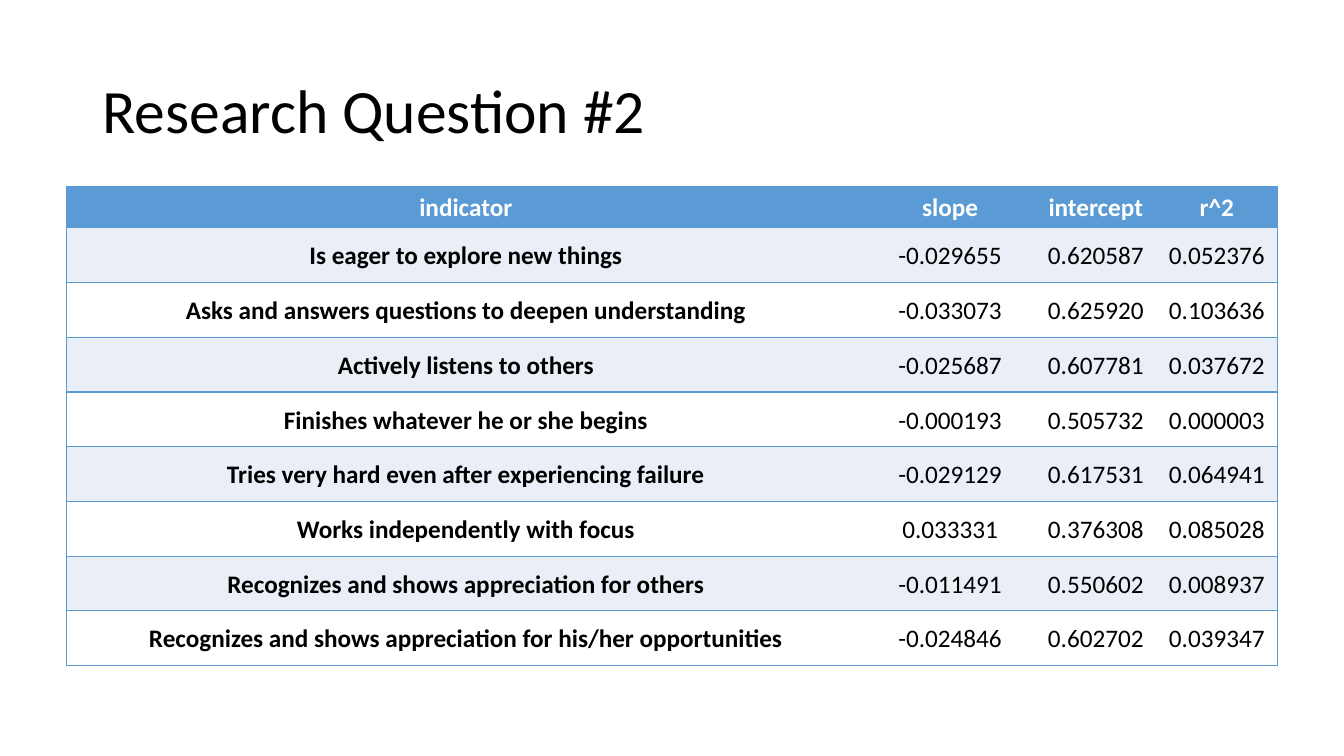
from lxml import etree
from pptx import Presentation
from pptx.dml.color import RGBColor
from pptx.enum.text import MSO_ANCHOR, PP_ALIGN
from pptx.oxml.ns import qn
from pptx.util import Cm, Pt

MIDDLE = MSO_ANCHOR.MIDDLE
CENTER = PP_ALIGN.CENTER
BLACK = RGBColor(0x00, 0x00, 0x00)
WHITE = RGBColor(0xFF, 0xFF, 0xFF)
BLUE = RGBColor(0x5B, 0x9B, 0xD5)
PALE_BLUE = RGBColor(0xEA, 0xEF, 0xF7)
FONT = "Calibri"

HEADER = ("indicator", "slope", "intercept", "r^2")
INDICATORS = [
    ("Is eager to explore new things", "-0.029655", "0.620587", "0.052376"),
    ("Asks and answers questions to deepen understanding", "-0.033073", "0.625920", "0.103636"),
    ("Actively listens to others", "-0.025687", "0.607781", "0.037672"),
    ("Finishes whatever he or she begins", "-0.000193", "0.505732", "0.000003"),
    ("Tries very hard even after experiencing failure", "-0.029129", "0.617531", "0.064941"),
    ("Works independently with focus", "0.033331", "0.376308", "0.085028"),
    ("Recognizes and shows appreciation for others", "-0.011491", "0.550602", "0.008937"),
    ("Recognizes and shows appreciation for his/her opportunities", "-0.024846", "0.602702", "0.039347"),
]
COLUMN_WIDTHS = (20.12, 4.29, 3.05, 3.05)
HEADER_HEIGHT, ROW_HEIGHT = 1.04, 1.38


def add_border(cell, side, visible):
    line = etree.SubElement(cell._tc.get_or_add_tcPr(), qn(f"a:ln{side}"), w=str(Pt(1)))
    if visible:
        fill = etree.SubElement(line, qn("a:solidFill"))
        etree.SubElement(fill, qn("a:srgbClr"), val=str(BLUE))
    else:
        etree.SubElement(line, qn("a:noFill"))


def style_paragraph(paragraph, size, color, bold, spacing):
    paragraph.line_spacing = spacing
    paragraph.font.name = FONT
    paragraph.font.size = Pt(size)
    paragraph.font.bold = bold
    paragraph.font.color.rgb = color


prs = Presentation()
prs.slide_width, prs.slide_height = Cm(33.87), Cm(19.05)
slide = prs.slides.add_slide(prs.slide_layouts[6])

title = slide.shapes.add_textbox(Cm(2.33), Cm(1.01), Cm(29.21), Cm(3.68)).text_frame
title.word_wrap = True
title.vertical_anchor = MIDDLE
title.text = "Research Question #2"
style_paragraph(title.paragraphs[0], 44, BLACK, False, 0.9)

rows = [HEADER] + INDICATORS
results = slide.shapes.add_table(
    len(rows), len(HEADER), Cm(1.68), Cm(4.7), Cm(sum(COLUMN_WIDTHS)),
    Cm(HEADER_HEIGHT + ROW_HEIGHT * len(INDICATORS))).table
for column, width in zip(results.columns, COLUMN_WIDTHS):
    column.width = Cm(width)

last = len(HEADER) - 1
for r, values in enumerate(rows):
    is_header = r == 0
    results.rows[r].height = Cm(HEADER_HEIGHT if is_header else ROW_HEIGHT)
    band = BLUE if is_header else PALE_BLUE if r % 2 else WHITE
    for c, value in enumerate(values):
        cell = results.cell(r, c)
        cell.text = value
        cell.vertical_anchor = MIDDLE
        cell.margin_left = cell.margin_right = Cm(0.13)
        cell.margin_top = cell.margin_bottom = 0
        for side, visible in (("L", c == 0), ("R", c == last), ("T", True), ("B", True)):
            add_border(cell, side, visible)
        cell.fill.solid()
        cell.fill.fore_color.rgb = band
        paragraph = cell.text_frame.paragraphs[0]
        paragraph.alignment = CENTER
        style_paragraph(paragraph, 18, WHITE if is_header else BLACK, is_header or c == 0, 1.07)

prs.save("out.pptx")
